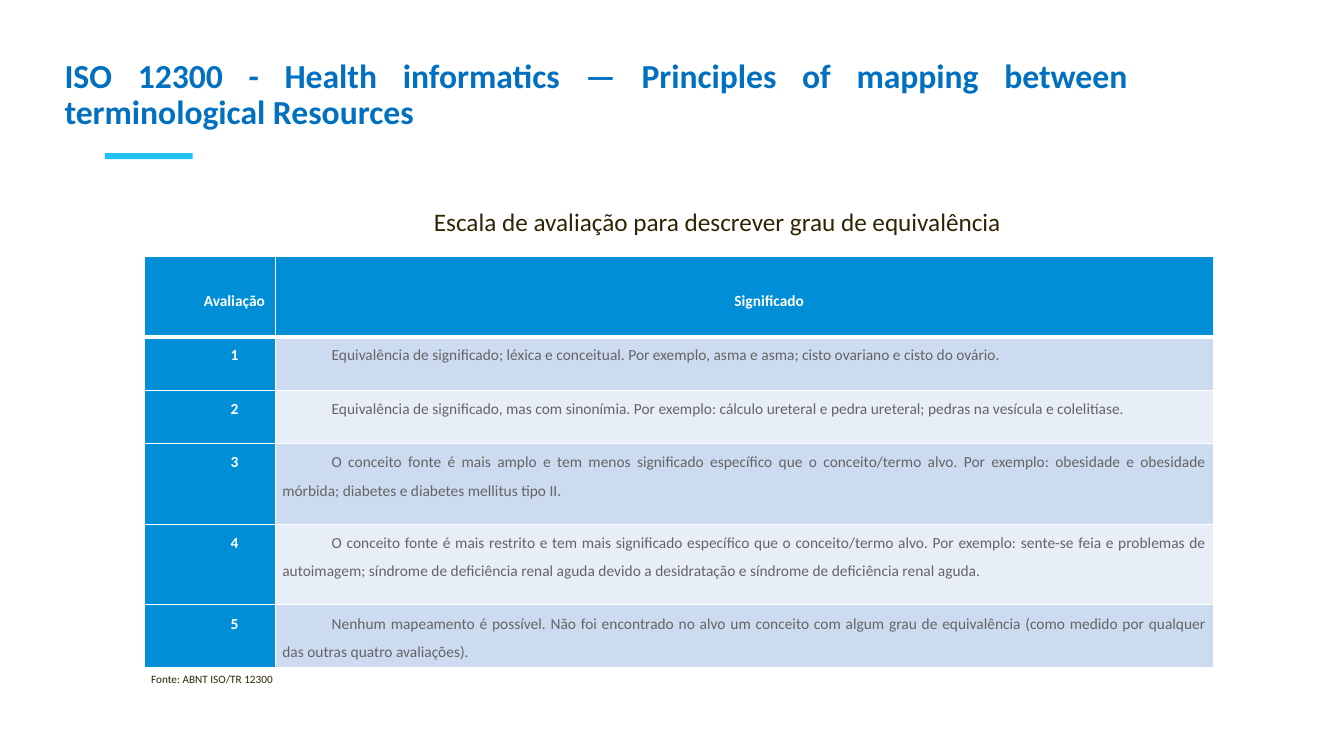
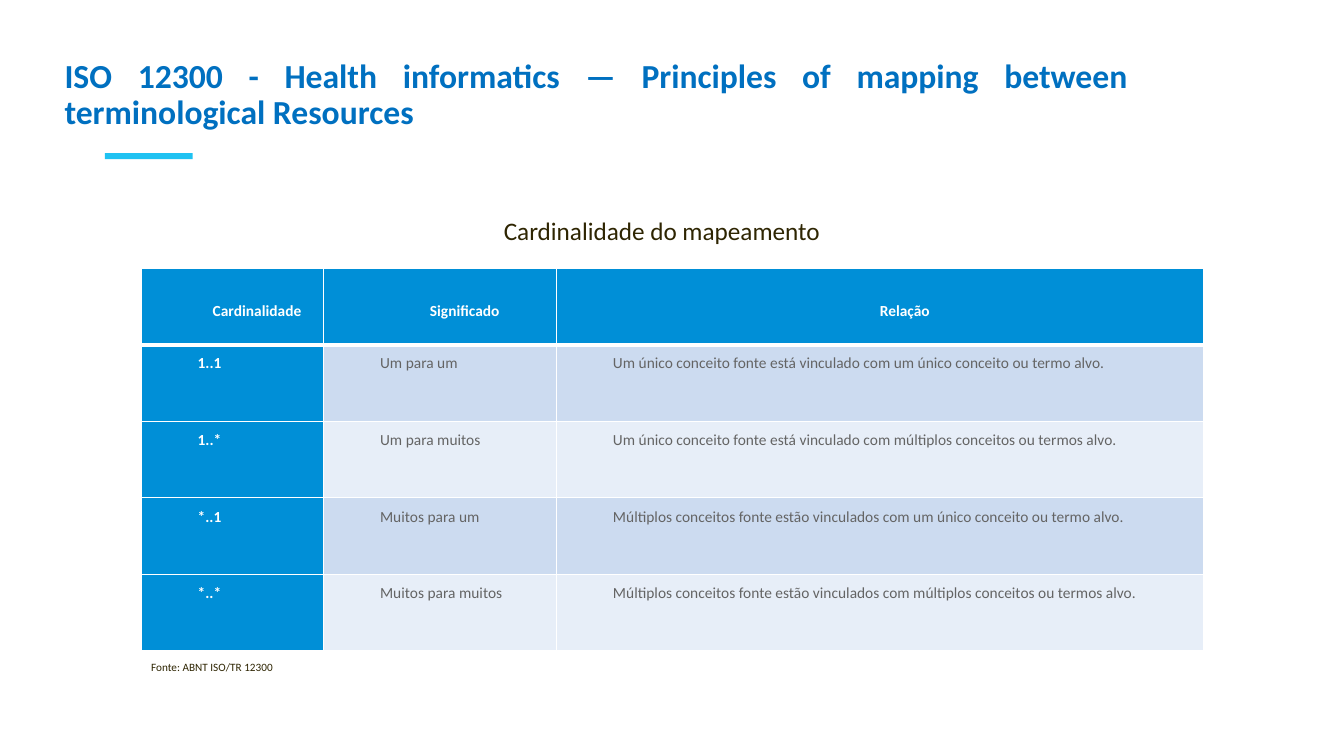
from dataclasses import dataclass

from lxml.etree import SubElement
from pptx import Presentation
from pptx.dml.color import RGBColor
from pptx.enum.shapes import MSO_SHAPE
from pptx.enum.text import MSO_ANCHOR, MSO_AUTO_SIZE, PP_ALIGN
from pptx.oxml.ns import qn
from pptx.util import Emu, Pt

PX = 9144
TITLE_ONLY = 5


@dataclass(frozen=True)
class Theme:
    """Colours, font and type sizes used on every page."""

    font: str = "Calibri"
    title: str = "0070C0"
    accent: str = "1FC2F2"
    ink: str = "2E2502"
    header: str = "008FD7"
    body: str = "646464"
    white: str = "FFFFFF"
    bands: tuple = ("CCDBF0", "E7EEF8")
    title_size: int = 24
    caption_size: int = 18
    table_size: int = 11
    note_size: int = 8


THEME = Theme()
TITLE = "ISO 12300 - Health informatics — Principles of mapping between terminological Resources"
TITLE_BOX = (54, 22, 1075, 145)
BAR_BOX = (104, 152, 87, 6)
NOTE = "Fonte: ABNT ISO/TR 12300"

EQUIVALENCE = dict(
    caption="Escala de avaliação para descrever grau de equivalência",
    caption_box=(230, 200, 963, 40),
    note_box=(140, 662, 141, 24),
    origin=(143, 254),
    columns=(130, 931),
    heights=(80, 53, 53, 80, 80, 62),
    key_align=PP_ALIGN.CENTER,
    rows=(
        ("Avaliação", "Significado"),
        ("1", "Equivalência de significado; léxica e conceitual. Por exemplo, asma e asma; "
              "cisto ovariano e cisto do ovário."),
        ("2", "Equivalência de significado, mas com sinonímia. Por exemplo: cálculo ureteral e "
              "pedra ureteral; pedras na vesícula e colelitíase."),
        ("3", "O conceito fonte é mais amplo e tem menos significado específico que o "
              "conceito/termo alvo. Por exemplo: obesidade e obesidade mórbida; diabetes e "
              "diabetes mellitus tipo II."),
        ("4", "O conceito fonte é mais restrito e tem mais significado específico que o "
              "conceito/termo alvo. Por exemplo: sente-se feia e problemas de autoimagem; "
              "síndrome de deficiência renal aguda devido a desidratação e síndrome de "
              "deficiência renal aguda."),
        ("5", "Nenhum mapeamento é possível. Não foi encontrado no alvo um conceito com algum "
              "grau de equivalência (como medido por qualquer das outras quatro avaliações)."),
    ),
)

CARDINALITY = dict(
    caption="Cardinalidade do mapeamento",
    caption_box=(175, 209, 963, 40),
    note_box=(140, 650, 141, 24),
    origin=(140, 266),
    columns=(181, 231, 642),
    heights=(76,) * 5,
    key_align=PP_ALIGN.JUSTIFY,
    rows=(
        ("Cardinalidade", "Significado", "Relação"),
        ("1..1", "Um para um",
         "Um único conceito fonte está vinculado com um único conceito ou termo alvo."),
        ("1..*", "Um para muitos",
         "Um único conceito fonte está vinculado com múltiplos conceitos ou termos alvo."),
        ("*..1", "Muitos para um",
         "Múltiplos conceitos fonte estão vinculados com um único conceito ou termo alvo."),
        ("*..*", "Muitos para muitos",
         "Múltiplos conceitos fonte estão vinculados com múltiplos conceitos ou termos alvo."),
    ),
)


def px(*lengths):
    """Turn whole px lengths into a list of EMU lengths."""
    return [Emu(length * PX) for length in lengths]


def place(shape, box):
    """Move a shape to a box of left, top, width and height."""
    shape.left, shape.top, shape.width, shape.height = px(*box)


def add_span(para, text, size, color, bold=False):
    """Add one formatted run to a paragraph."""
    span = para.add_run()
    span.text = text
    span.font.name = THEME.font
    span.font.size = Pt(size)
    span.font.bold = bold
    span.font.color.rgb = RGBColor.from_string(color)


def add_title(page):
    """Fill the title placeholder, which takes its place from the layout."""
    frame = page.shapes.title.text_frame
    frame.auto_size = MSO_AUTO_SIZE.NONE
    frame.vertical_anchor = MSO_ANCHOR.MIDDLE
    para = frame.paragraphs[0]
    para.alignment = PP_ALIGN.JUSTIFY
    para.line_spacing = 0.9
    add_span(para, TITLE, THEME.title_size, THEME.title, bold=True)


def add_label(page, box, text, size, align, wrap):
    """Add a one-line text box that grows with its text."""
    frame = page.shapes.add_textbox(*px(*box)).text_frame
    frame.word_wrap = wrap
    frame.auto_size = MSO_AUTO_SIZE.SHAPE_TO_FIT_TEXT
    para = frame.paragraphs[0]
    para.alignment = align
    add_span(para, text, size, THEME.ink)


def set_borders(cell, top, bottom):
    """Draw white cell borders, with the top and bottom widths in points."""
    properties = cell._tc.get_or_add_tcPr()
    for side, width in (("lnL", 1), ("lnR", 1), ("lnT", top), ("lnB", bottom)):
        line = SubElement(properties, qn(f"a:{side}"), w=str(Pt(width)))
        fill = SubElement(line, qn("a:solidFill"))
        SubElement(fill, qn("a:srgbClr"), val=THEME.white)


def fill_cell(cell, text, row, column, key_align):
    """Format one cell by its role: header, row key or body."""
    is_header = row == 0
    is_strong = is_header or column == 0
    set_borders(cell, top=3 if row == 1 else 1, bottom=3 if is_header else 1)
    color = THEME.header if is_strong else THEME.bands[(row - 1) % 2]
    cell.fill.solid()
    cell.fill.fore_color.rgb = RGBColor.from_string(color)
    cell.margin_left, cell.margin_top, cell.margin_right, cell.margin_bottom = px(7, 0, 7, 0)
    cell.vertical_anchor = MSO_ANCHOR.MIDDLE if is_header else MSO_ANCHOR.TOP
    para = cell.text_frame.paragraphs[0]
    if is_header:
        para.alignment = PP_ALIGN.CENTER
        para.space_before = Pt(6)
    else:
        para.alignment = key_align if column == 0 else PP_ALIGN.JUSTIFY
    para.line_spacing = 1.5
    properties = para._p.get_or_add_pPr()
    properties.set("marL", "0")
    properties.set("indent", str(49 * PX))
    add_span(para, text, THEME.table_size, THEME.white if is_strong else THEME.body, is_strong)


def add_grid(page, origin, columns, heights, rows, key_align):
    """Add a banded table at its origin with the given column and row sizes."""
    box = (*origin, sum(columns), sum(heights))
    table = page.shapes.add_table(len(heights), len(columns), *px(*box)).table
    for column, width in zip(table.columns, px(*columns)):
        column.width = width
    for row, height in zip(table.rows, px(*heights)):
        row.height = height
    for row_index, texts in enumerate(rows):
        for column_index, text in enumerate(texts):
            cell = table.cell(row_index, column_index)
            fill_cell(cell, text, row_index, column_index, key_align)


def add_table_page(deck, layout, caption, caption_box, note_box, **grid):
    """Add a page with title, caption, table and source note."""
    page = deck.slides.add_slide(layout)
    add_title(page)
    add_label(page, caption_box, caption, THEME.caption_size, PP_ALIGN.CENTER, True)
    add_grid(page, **grid)
    add_label(page, note_box, NOTE, THEME.note_size, PP_ALIGN.LEFT, False)
    return page


def add_layout_bar(layout, page):
    """Draw the accent bar and hand it to the layout that the pages share."""
    bar = page.shapes.add_shape(MSO_SHAPE.RECTANGLE, *px(*BAR_BOX))
    bar.shadow.inherit = False
    bar.fill.solid()
    bar.fill.fore_color.rgb = RGBColor.from_string(THEME.accent)
    bar.line.fill.background()
    layout.shapes.element.append(bar.element)


def main():
    """Build and save the deck."""
    deck = Presentation()
    deck.slide_width, deck.slide_height = px(1333, 750)
    layout = deck.slide_layouts[TITLE_ONLY]
    place(layout.placeholders[0], TITLE_BOX)
    pages = [add_table_page(deck, layout, **content) for content in (EQUIVALENCE, CARDINALITY)]
    add_layout_bar(layout, pages[0])
    deck.save("out.pptx")


if __name__ == "__main__":
    main()
